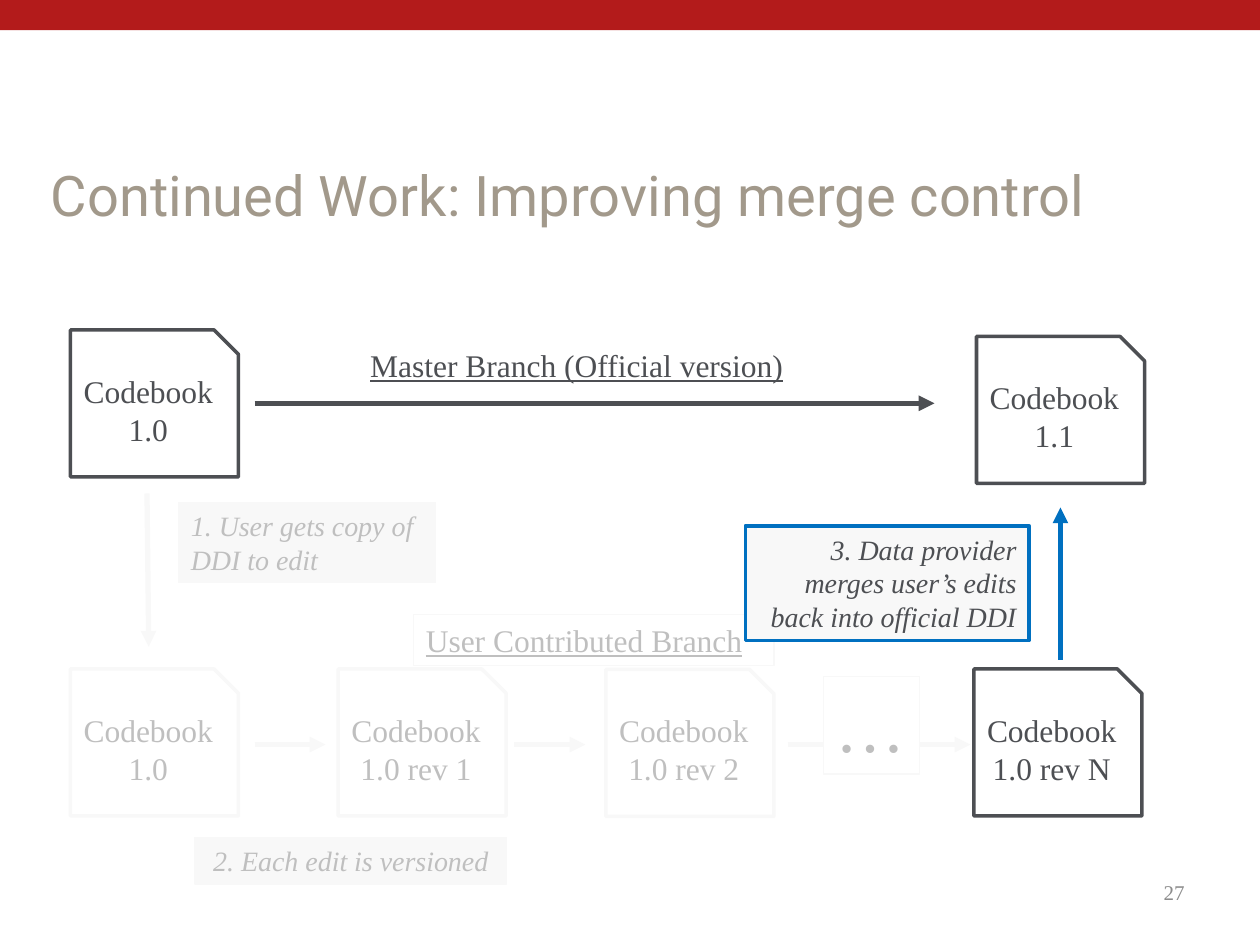
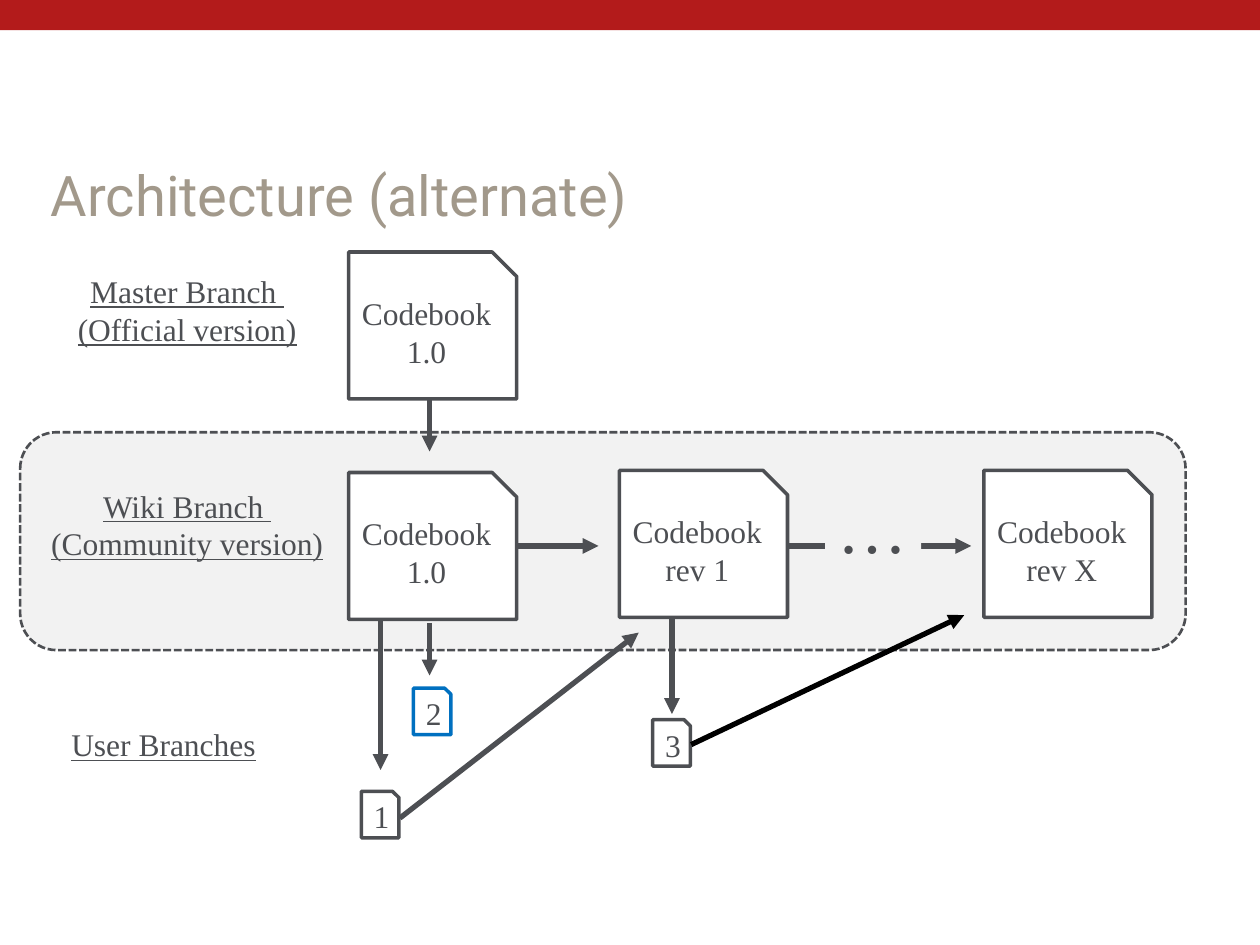
from lxml.etree import SubElement
from pptx import Presentation
from pptx.dml.color import RGBColor
from pptx.enum.dml import MSO_LINE
from pptx.enum.shapes import MSO_CONNECTOR, MSO_SHAPE
from pptx.enum.text import MSO_ANCHOR, PP_ALIGN
from pptx.oxml.ns import qn
from pptx.util import Pt

# Shared style
RED, TAUPE, INK, BLUE = "B31B1B", "A2998B", "4D4F53", "0070C0"
FADED, FADED_TEXT, PANEL, WHITE = "F8F8F8", "BFBFBF", "F2F2F2", "FFFFFF"
SERIF = "Times New Roman"
DOCUMENT_SIZE = (96, 84)
NOTE_SIZE = (21.5, 26.5)
DOTS_SIZE = (55, 55.5)

hex_color = RGBColor.from_string


def add_box(slide, position, size, text="", preset=MSO_SHAPE.RECTANGLE, fill=None,
            line=None, weight=0.75, color=INK, points=18, font=SERIF,
            align=PP_ALIGN.LEFT, anchor=MSO_ANCHOR.TOP, wrap=True,
            italic=False, underline=False):
    frame = [Pt(value) for value in (*position, *size)]
    if fill or line:
        shape = slide.shapes.add_shape(preset, *frame)
        shape.shadow.inherit = False
        if fill:
            shape.fill.solid()
            shape.fill.fore_color.rgb = hex_color(fill)
        else:
            shape.fill.background()
        if line:
            shape.line.color.rgb = hex_color(line)
            shape.line.width = Pt(weight)
        else:
            shape.line.fill.background()
    else:
        shape = slide.shapes.add_textbox(*frame)
    if text:
        text_frame = shape.text_frame
        text_frame.text = text
        text_frame.word_wrap = wrap
        text_frame.vertical_anchor = anchor
        paragraph = text_frame.paragraphs[0]
        paragraph.alignment = align
        for run in paragraph.runs:
            run.font.name = font
            run.font.size = Pt(points)
            run.font.color.rgb = hex_color(color)
            run.font.italic = italic
            run.font.underline = underline
    return shape


def add_arrow(slide, start, end, color=INK):
    arrow = slide.shapes.add_connector(
        MSO_CONNECTOR.STRAIGHT, *[Pt(value) for value in (*start, *end)])
    arrow.line.color.rgb = hex_color(color)
    arrow.line.width = Pt(3)
    properties = arrow.element.spPr
    SubElement(properties.find(qn("a:ln")), qn("a:tailEnd"), type="triangle")
    SubElement(properties, qn("a:effectLst"))


presentation = Presentation()
presentation.slide_width = Pt(720)
presentation.slide_height = Pt(540)

document_style = dict(preset=MSO_SHAPE.SNIP_1_RECTANGLE, fill=WHITE, weight=2,
                      align=PP_ALIGN.CENTER, anchor=MSO_ANCHOR.MIDDLE)

# Slides with band and title
slides = []
for title in ("Continued Work: Improving merge control", "Architecture (alternate)"):
    slide = presentation.slides.add_slide(presentation.slide_layouts[6])
    add_box(slide, (0, 0), (720, 17.25), fill=RED)
    if slides:
        # Community panel lies behind the title
        panel = add_box(slide, (11.5, 247), (666, 124.5), fill=PANEL, line=INK,
                        weight=1.5, preset=MSO_SHAPE.ROUNDED_RECTANGLE)
        panel.line.dash_style = MSO_LINE.SQUARE_DOT
    add_box(slide, (22, 84), (683, 54), title, color=TAUPE, points=32,
            font="Roboto", anchor=MSO_ANCHOR.MIDDLE)
    slides.append(slide)
merge_slide, architecture_slide = slides

# Merge control: page number and branch names
add_box(merge_slide, (516, 495), (168, 29), "27", color="8C8C8C", points=12,
        align=PP_ALIGN.RIGHT, anchor=MSO_ANCHOR.MIDDLE)
add_box(merge_slide, (204.5, 194), (269, 29), "Master Branch (Official version)",
        underline=True)
add_box(merge_slide, (236.25, 351.25), (206, 29), "User Contributed Branch",
        line=FADED, color=FADED_TEXT, underline=True)

# Merge control: codebook versions
for left, top, text, line, color in (
        (40.25, 382.25, "Codebook 1.0", FADED, FADED_TEXT),
        (193.25, 382.25, "Codebook 1.0 rev 1", FADED, FADED_TEXT),
        (346.25, 382.5, "Codebook 1.0 rev 2", FADED, FADED_TEXT),
        (556.5, 382.25, "Codebook 1.0 rev N", INK, INK),
        (40.25, 188.5, "Codebook 1.0", INK, INK),
        (558, 192.25, "Codebook 1.1", INK, INK)):
    add_box(merge_slide, (left, top), DOCUMENT_SIZE, text, line=line, color=color,
            **document_style)

# Merge control: arrows, with the dots over the last revision arrow
for start, end in ((145.5, 186), (294, 334.5), (450, 554.5)):
    add_arrow(merge_slide, (start, 425.5), (end, 425.5), FADED)
add_box(merge_slide, (470.5, 386.75), DOTS_SIZE, "…", fill=WHITE, line=FADED,
        color=FADED_TEXT, points=40, wrap=False)
add_arrow(merge_slide, (606, 377), (606, 290), BLUE)
add_arrow(merge_slide, (145.5, 230.5), (534, 230.5))
add_arrow(merge_slide, (84, 282), (85, 369.5), FADED)

# Merge control: numbered steps
for position, size, text, line, weight, color, align in (
        ((102, 287), (147, 46), "1. User gets copy of DDI to edit",
         FADED, 0.75, FADED_TEXT, PP_ALIGN.LEFT),
        ((426, 300.5), (162, 65.5),
         "3. Data provider merges user’s edits back into official DDI",
         BLUE, 2.25, INK, PP_ALIGN.RIGHT),
        ((111.5, 478.75), (178, 26.5), "2. Each edit is versioned",
         FADED, 0.75, FADED_TEXT, PP_ALIGN.CENTER)):
    add_box(merge_slide, position, size, text, fill=FADED, line=line, weight=weight,
            color=color, points=16, align=align, italic=True)

# Architecture: branch names
for position, size, text in (
        ((36, 152), (142, 51), "Master Branch \v(Official version)"),
        ((1.5, 274.5), (211, 51), "Wiki Branch \v(Community version)"),
        ((13.5, 411), (160, 29), "User Branches")):
    add_box(architecture_slide, position, size, text, align=PP_ALIGN.CENTER,
            underline=True)

# Architecture: codebooks and user edits
for position, size, text, line in (
        ((199.25, 270), DOCUMENT_SIZE, "Codebook 1.0", INK),
        ((199.25, 144), DOCUMENT_SIZE, "Codebook 1.0", INK),
        ((354, 268.75), DOCUMENT_SIZE, "Codebook rev 1", INK),
        ((562.25, 268.75), DOCUMENT_SIZE, "Codebook rev X", INK),
        ((206.5, 452.25), NOTE_SIZE, "1", INK),
        ((236.25, 393.25), NOTE_SIZE, "2", BLUE),
        ((373, 411.25), NOTE_SIZE, "3", INK)):
    add_box(architecture_slide, position, size, text, line=line, **document_style)

# Architecture: arrows, with the dots over the last wiki arrow
for start, end, color in (
        ((245.5, 228.5), (245.5, 258), INK),
        ((295.5, 312), (342, 312), INK),
        ((450.5, 312), (555, 312), INK),
        ((245.5, 356), (245.5, 386), INK),
        ((217.5, 355), (217.5, 440), INK),
        ((384, 352.5), (384, 408), INK),
        ((395, 425.5), (551, 351.5), "000000"),
        ((228.5, 467.5), (365, 361.5), INK)):
    add_arrow(architecture_slide, start, end, color)
add_box(architecture_slide, (471.5, 272.5), DOTS_SIZE, "…", fill=PANEL, points=40,
        wrap=False)

presentation.save("out.pptx")
